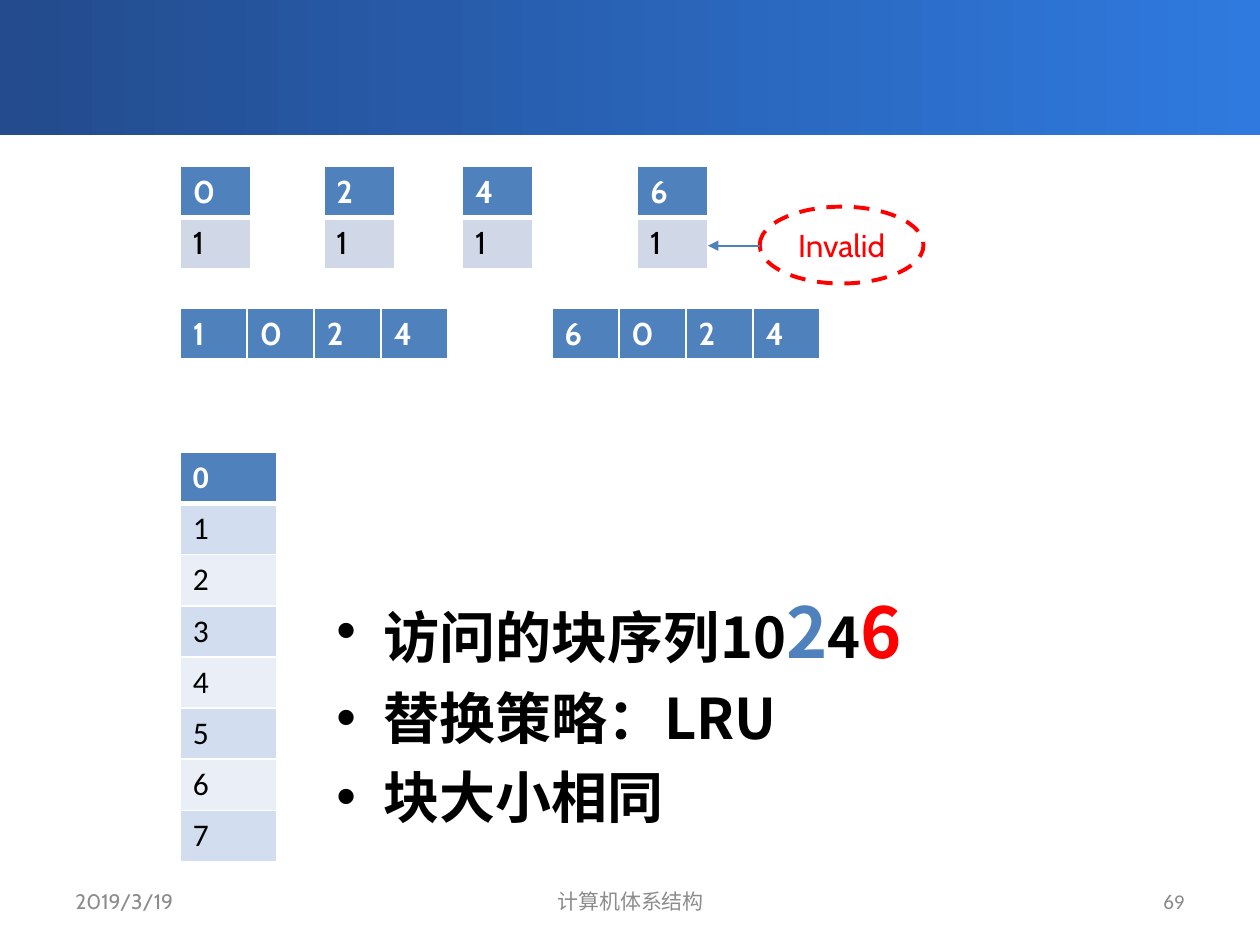
from lxml.etree import SubElement
from pptx import Presentation
from pptx.dml.color import RGBColor
from pptx.enum.dml import MSO_LINE
from pptx.enum.shapes import MSO_CONNECTOR, MSO_SHAPE
from pptx.enum.text import MSO_ANCHOR, PP_ALIGN
from pptx.oxml.ns import qn
from pptx.util import Inches, Pt

COLORS = {
    "navy": "234B8D", "azure": "2F7ADF", "blue": "4F81BD", "red": "FF0000",
    "black": "000000", "white": "FFFFFF", "gray": "8C8C8C", "page": "898989",
    "way": "D0D8E8", "band": "D2DEEF", "pale": "EAEFF7",
}
LATIN, NUMERIC, CJK = "Cabin", "Calibri", "Noto Sans CJK SC"
COLUMNS, ROWS = 100, 75
CELL_H = 4.06


def rgb(name):
    return RGBColor.from_string(COLORS[name])


class Deck:
    """Style and current slide; lengths are grid columns and rows."""

    def __init__(self):
        self.prs = Presentation()
        self.prs.slide_width, self.prs.slide_height = Inches(10), Inches(7.5)
        self.s = self.prs.slides.add_slide(self.prs.slide_layouts[1])
        title = self.s.shapes.title.element
        title.getparent().remove(title)

    def x(self, columns):
        return round(self.prs.slide_width * columns / COLUMNS)

    def y(self, rows):
        return round(self.prs.slide_height * rows / ROWS)

    def box(self, left, top, width, height):
        return self.x(left), self.y(top), self.x(width), self.y(height)

    def run(self, p, text, color, size=18, font=LATIN, bold=False):
        r = p.add_run()
        r.text = text
        r.font.name, r.font.size, r.font.bold = font, Pt(size), bold
        r.font.color.rgb = rgb(color)
        SubElement(r.font._element, qn("a:ea"), typeface=CJK)

    def banner(self, *box):
        sp = self.s.shapes.add_shape(MSO_SHAPE.RECTANGLE, *self.box(*box))
        sp.shadow.inherit = False
        sp.line.fill.background()
        sp.fill.gradient()
        sp.fill.gradient_angle = 0
        for stop, color, position in zip(sp.fill.gradient_stops, ("navy", "azure"), (0, 1)):
            stop.color.rgb, stop.position = rgb(color), position

    def bullets(self, box, lines):
        sp = self.s.placeholders[1]
        sp.left, sp.top, sp.width, sp.height = self.box(*box)
        tf = sp.text_frame
        for i, line in enumerate(lines):
            p = tf.paragraphs[0] if i == 0 else tf.add_paragraph()
            for text, color, size in line:
                self.run(p, text, color, size, CJK, True)

    def label(self, box, text, align, color="gray", font=LATIN):
        tf = self.s.shapes.add_textbox(*self.box(*box)).text_frame
        tf.word_wrap = True
        tf.vertical_anchor = MSO_ANCHOR.MIDDLE
        p = tf.paragraphs[0]
        p.alignment = align
        self.run(p, text, color, 12, font)

    def border(self, cell, **widths):
        """Draw white cell edges; widths are points keyed L, R, T, B."""
        tc_pr = cell._tc.get_or_add_tcPr()
        for i, (side, width) in enumerate(widths.items()):
            ln = SubElement(tc_pr, qn(f"a:ln{side}"), w=str(Pt(width)))
            fill = SubElement(ln, qn("a:solidFill"))
            SubElement(fill, qn("a:srgbClr"), val=COLORS["white"])
            tc_pr.insert(i, ln)

    def table(self, left, top, col_width, rows, bands=("way",), font=LATIN):
        """Fill a table whose first row is a header and the rest are banded."""
        n_rows, n_cols = len(rows), len(rows[0])
        box = self.box(left, top, col_width * n_cols, CELL_H * n_rows)
        table = self.s.shapes.add_table(n_rows, n_cols, *box).table
        for i, row in enumerate(rows):
            header = i == 0
            for j, text in enumerate(row):
                cell = table.cell(i, j)
                cell.fill.solid()
                cell.fill.fore_color.rgb = rgb("blue" if header else bands[(i - 1) % len(bands)])
                self.border(cell, L=1, R=1, T=3 if i == 1 else 1, B=3 if header else 1)
                self.run(cell.text_frame.paragraphs[0], text,
                         "white" if header else "black", font=font, bold=header)

    def callout(self, box, text, color):
        sp = self.s.shapes.add_shape(MSO_SHAPE.OVAL, *self.box(*box))
        sp.shadow.inherit = False
        sp.fill.background()
        sp.line.color.rgb, sp.line.width = rgb(color), Pt(2.25)
        sp.line.dash_style = MSO_LINE.DASH
        tf = sp.text_frame
        tf.vertical_anchor = MSO_ANCHOR.MIDDLE
        p = tf.paragraphs[0]
        p.alignment = PP_ALIGN.CENTER
        self.run(p, text, color)

    def arrow(self, start, end, level, color):
        cx = self.s.shapes.add_connector(
            MSO_CONNECTOR.STRAIGHT, self.x(start), self.y(level), self.x(end), self.y(level))
        cx.line.color.rgb, cx.line.width = rgb(color), Pt(1)
        SubElement(cx.line._get_or_add_ln(), qn("a:tailEnd"), type="triangle")
        SubElement(cx._element.spPr, qn("a:effectLst"))


def main():
    d = Deck()
    d.banner(0, 0, COLUMNS, 10.7)
    d.bullets((25.7, 46.2, 69.1, 20.2), [
        [("访问的块序列10", "black", 32), ("2", "blue", 40),
         ("4", "black", 32), ("6", "red", 40)],
        [("替换策略：LRU", "black", 32)],
        [("块大小相同", "black", 32)],
    ])
    d.label((5, 69.5, 23.3, 4), "2019/3/19", PP_ALIGN.LEFT)
    d.label((34.2, 69.5, 31.7, 4), "计算机体系结构", PP_ALIGN.CENTER)
    d.label((71.7, 69.5, 23.3, 4), "69", PP_ALIGN.RIGHT, "page", NUMERIC)

    d.table(14.3, 35.9, 7.7, [str(n) for n in range(8)], ("band", "pale"), NUMERIC)
    for left, block in zip((14.3, 25.7, 36.7, 50.6), "0246"):
        d.table(left, 13.2, 5.6, [block, "1"])
    for left, blocks in ((14.3, "1024"), (43.8, "6024")):
        d.table(left, 24.5, 5.32, [blocks])

    d.callout((60.3, 16.4, 13, 6.1), "Invalid", "red")
    d.arrow(60.3, 56.2, 19.5, "blue")
    d.prs.save("out.pptx")


if __name__ == "__main__":
    main()
